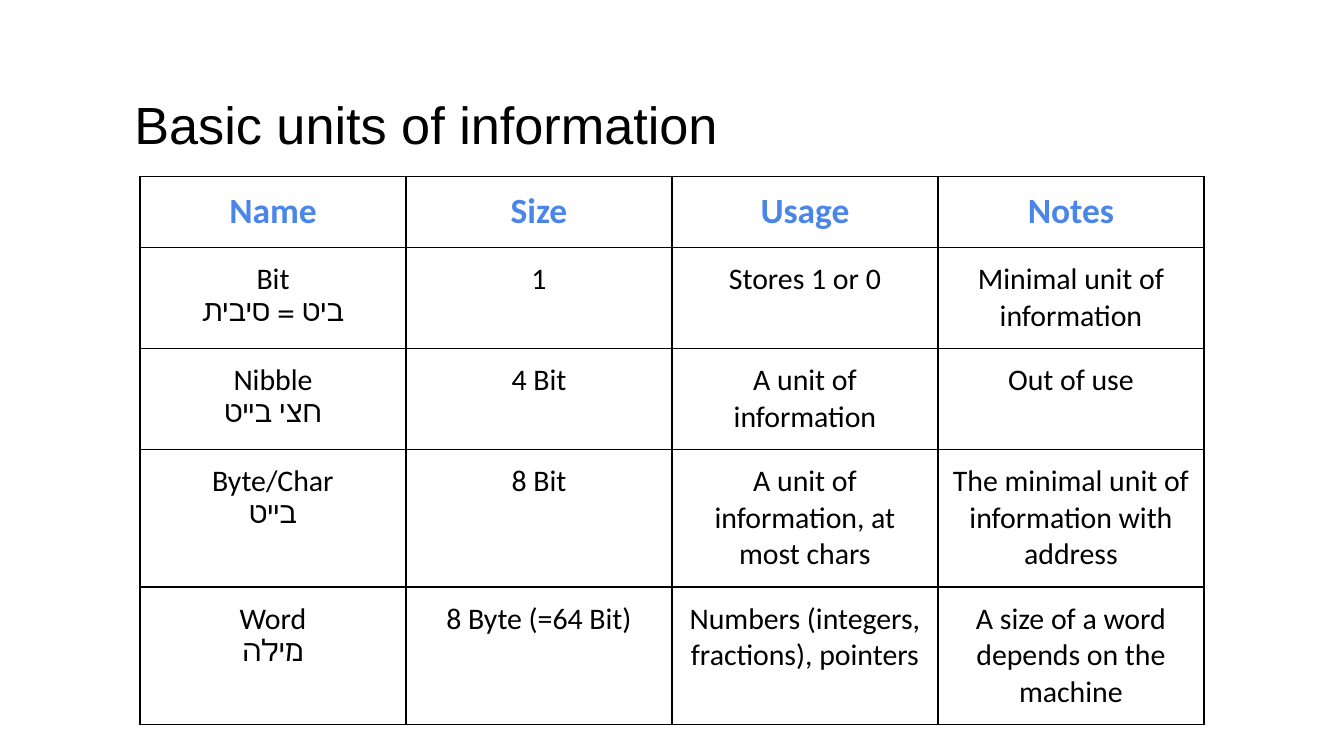
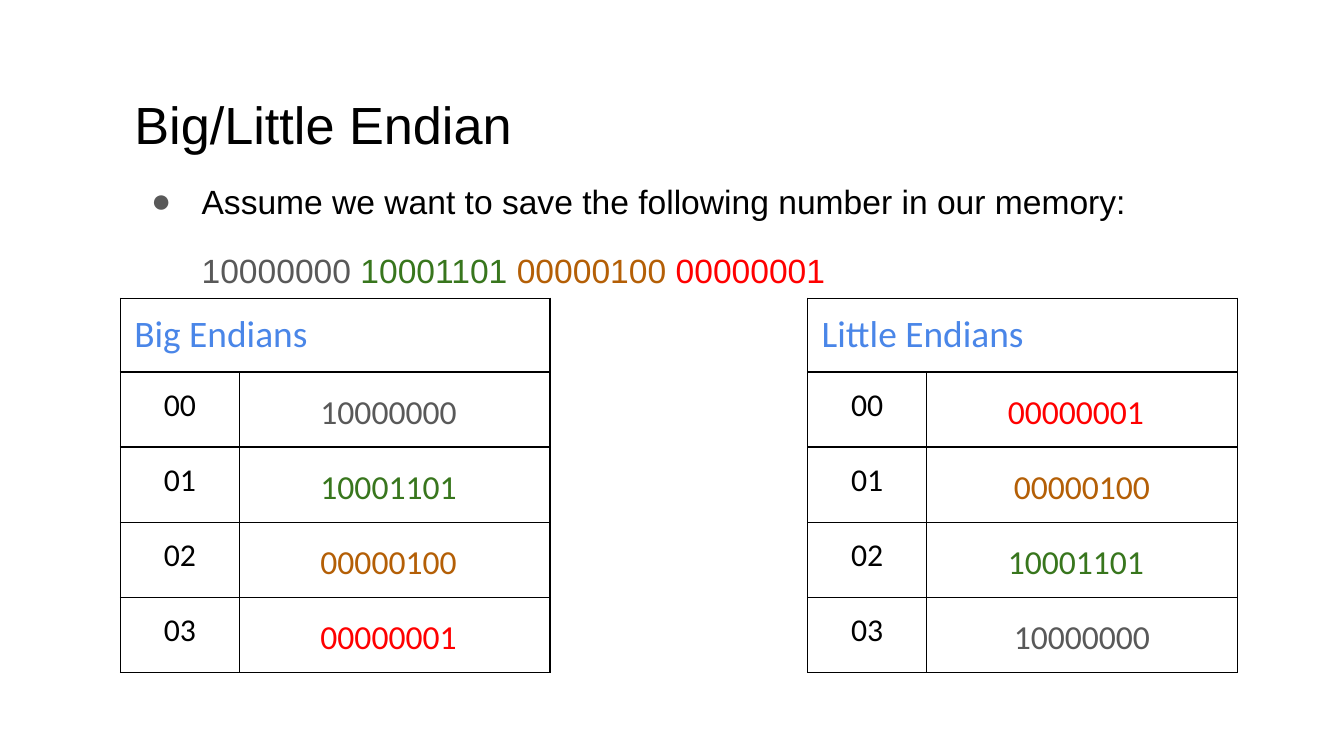
from lxml.etree import SubElement
from pptx import Presentation
from pptx.dml.color import RGBColor
from pptx.enum.text import MSO_ANCHOR, MSO_AUTO_SIZE, PP_ALIGN
from pptx.oxml import parse_xml
from pptx.oxml.ns import nsdecls, qn
from pptx.util import Pt

PX = 9525
MARGIN = 10
BLACK, BLUE, GREY = "000000", "4A86E8", "595959"
BYTES = [("10000000", GREY), ("10001101", "38761D"),
         ("00000100", "B45F06"), ("00000001", "FF0000")]
UNITS = [
    ["Name", "Size", "Usage", "Notes"],
    ["Bit\nביט = סיבית", "1", "Stores 1 or 0", "Minimal unit of information"],
    ["Nibble\nחצי בייט", "4 Bit", "A unit of information", "Out of use"],
    ["Byte/Char\nבייט", "8 Bit", "A unit of information, at most chars",
     "The minimal unit of information with address"],
    ["Word\nמילה", "8 Byte (=64 Bit)", "Numbers (integers, fractions), pointers",
     "A size of a word depends on the machine"],
]


def px(n):
    """Turn px into EMU."""
    return n * PX


def rgb(value):
    """Turn a hex string into a colour."""
    return RGBColor.from_string(value)


def style_run(r, size, color, font, bold=False):
    """Format one run."""
    r.font.size, r.font.name, r.font.bold = Pt(size), font, bold
    r.font.color.rgb = rgb(color)


def indent(p, left, first=0):
    """Set the left margin and first-line indent of a paragraph."""
    pPr = p._p.get_or_add_pPr()
    pPr.set("marL", str(px(left)))
    pPr.set("indent", str(px(first)))
    return pPr


def place(sp, box):
    """Move a placeholder into a box and set its margins."""
    sp.left, sp.top, sp.width, sp.height = map(px, box)
    tf = sp.text_frame
    tf.auto_size, tf.word_wrap = MSO_AUTO_SIZE.NONE, True
    tf.vertical_anchor = MSO_ANCHOR.TOP
    tf.margin_left = tf.margin_right = tf.margin_top = tf.margin_bottom = px(MARGIN)
    return tf


def add_titled_slide(prs, layout, title):
    """Add a slide with the shared title style."""
    s = prs.slides.add_slide(prs.slide_layouts[layout])
    tf = place(s.shapes.title, (86, 56, 788, 70))
    tf.text = title
    p = tf.paragraphs[0]
    p.alignment = PP_ALIGN.LEFT
    style_run(p.runs[0], 28, BLACK, "Arial")
    return s


def add_grid(s, left, top, cols, rows):
    """Add an unfilled table with thin black borders."""
    frame = s.shapes.add_table(len(rows), len(cols), px(left), px(top),
                               px(sum(cols)), px(sum(rows)))
    table = frame.table
    table.first_row = table.horz_banding = False
    for col, width in zip(table.columns, cols):
        col.width = px(width)
    for row, height in zip(table.rows, rows):
        row.height = px(height)
    for cell in table.iter_cells():
        cell.margin_left = cell.margin_right = px(MARGIN)
        cell.margin_top = cell.margin_bottom = px(MARGIN)
        cell.fill.background()
        for i, side in enumerate("LRTB"):
            cell._tc.tcPr.insert(i, parse_xml(
                f'<a:ln{side} {nsdecls("a")} w="9525"><a:solidFill>'
                f'<a:srgbClr val="{BLACK}"/></a:solidFill></a:ln{side}>'))
    return table


def fill_cell(cell, text, size, color, align=PP_ALIGN.CENTER, bold=False):
    """Write a cell, with any Hebrew line running right to left."""
    cell.text_frame.text = text
    for p in cell.text_frame.paragraphs:
        p.alignment = align
        if any("א" <= c <= "ת" for c in p.text):
            p._p.get_or_add_pPr().set("rtl", "1")
        style_run(p.runs[0], size, color, "Calibri", bold)


def units_slide(prs):
    """Build the table of information units."""
    s = add_titled_slide(prs, 5, "Basic units of information")
    table = add_grid(s, 100, 126, [190] * 4, [49, 71, 71, 97, 97])
    for i, row in enumerate(UNITS):
        for j, text in enumerate(row):
            size, color = (16, BLACK) if i else (19, BLUE)
            fill_cell(table.cell(i, j), text, size, color, bold=i == 0)


def number_body(s, box):
    """Write the bullet and the coloured number below it."""
    tf = place(s.placeholders[1], box)
    tf.text = "Assume we want to save the following number in our memory:"
    lead, number = tf.paragraphs[0], tf.add_paragraph()
    style_run(lead.runs[0], 18, BLACK, "Arial")
    for i, (text, color) in enumerate(BYTES):
        r = number.add_run()
        r.text = text if i == len(BYTES) - 1 else text + " "
        style_run(r, 18, color, "Arial")
    for p, before in ((lead, 0), (number, 12)):
        p.line_spacing, p.space_before = 1.15, Pt(before)
    pPr = indent(lead, 48, -36)
    SubElement(SubElement(pPr, qn("a:buClr")), qn("a:srgbClr")).set("val", GREY)
    SubElement(pPr, qn("a:buFont")).set("typeface", "Arial")
    SubElement(pPr, qn("a:buChar")).set("char", "●")
    SubElement(indent(number, 48), qn("a:buNone"))


def endian_table(s, left, top, title, values, centred=()):
    """Build one memory table with an address and a byte in each row."""
    table = add_grid(s, left, top, [85, 222], [51] + [52] * len(values))
    table.cell(0, 0).merge(table.cell(0, 1))
    fill_cell(table.cell(0, 0), title, 20, BLUE, PP_ALIGN.LEFT)
    for i, (text, color) in enumerate(values):
        fill_cell(table.cell(i + 1, 0), f"{i:02}", 17, BLACK)
        cell = table.cell(i + 1, 1)
        align = PP_ALIGN.CENTER if i in centred else PP_ALIGN.LEFT
        fill_cell(cell, text, 18, color, align)
        p = cell.text_frame.paragraphs[0]
        p.line_spacing, p.space_after = 1.15, Pt(12)
        indent(p, 0 if i in centred else 48)


def endian_slide(prs):
    """Build the comparison of the two byte orders."""
    s = add_titled_slide(prs, 1, "Big/Little Endian")
    number_body(s, (86, 115, 820, 352))
    endian_table(s, 86, 213, "Big Endians", BYTES)
    endian_table(s, 577, 213, "Little Endians", BYTES[::-1], centred=(1, 3))


def main():
    """Build and save the presentation."""
    prs = Presentation()
    prs.slide_width, prs.slide_height = px(960), px(540)
    units_slide(prs)
    endian_slide(prs)
    prs.save("out.pptx")


if __name__ == "__main__":
    main()
